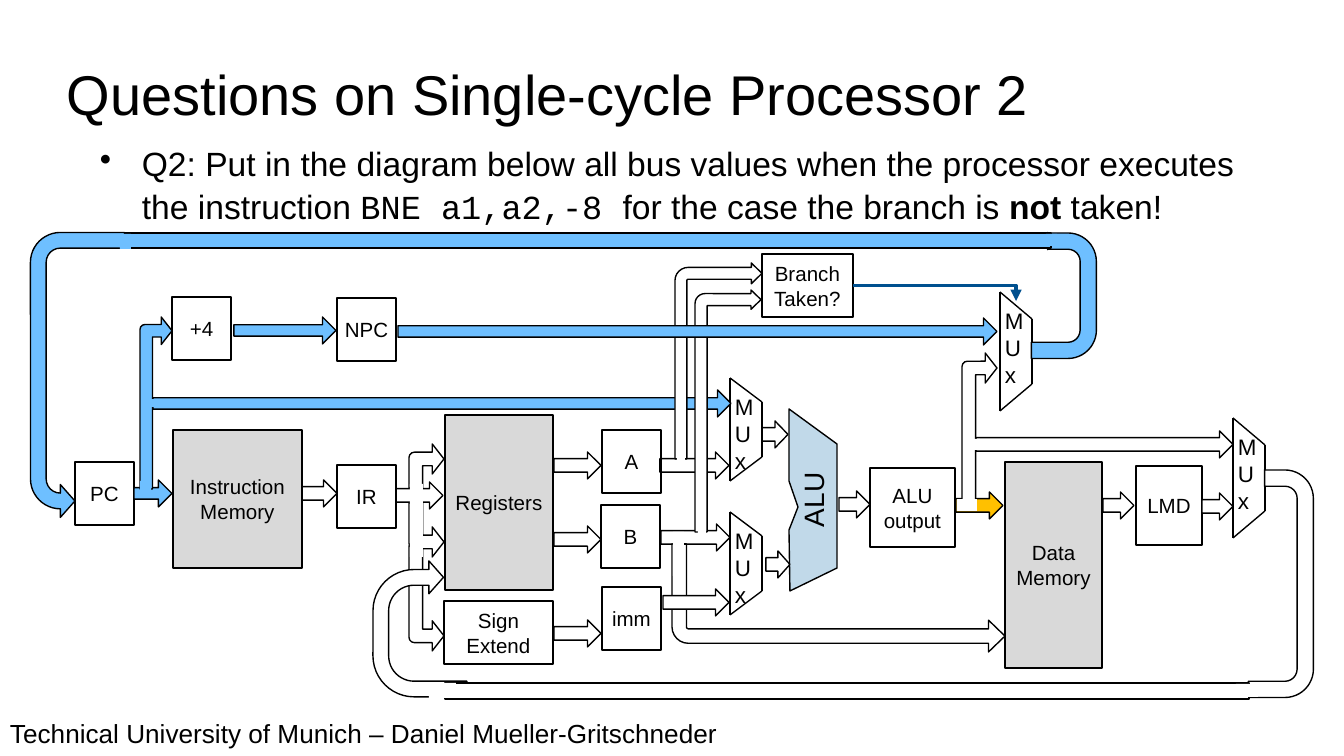
"""Build a slide with the datapath of a single-cycle processor."""
from lxml import etree
from pptx import Presentation
from pptx.dml.color import RGBColor
from pptx.enum.shapes import MSO_CONNECTOR, MSO_SHAPE
from pptx.enum.text import MSO_ANCHOR, PP_ALIGN
from pptx.oxml.ns import qn
from pptx.util import Pt

PX = 914400 / 134.4
RECT, RIGHT = MSO_SHAPE.RECTANGLE, MSO_SHAPE.RIGHT_ARROW
BENT, UTURN = MSO_SHAPE.BENT_ARROW, MSO_SHAPE.U_TURN_ARROW
STRAIGHT, ELBOW = MSO_CONNECTOR.STRAIGHT, MSO_CONNECTOR.ELBOW
TOP, MIDDLE, CENTER = MSO_ANCHOR.TOP, MSO_ANCHOR.MIDDLE, PP_ALIGN.CENTER
COLORS = {"black": "000000", "white": "FFFFFF", "blue": "6EBFFF", "gray": "D9D9D9",
          "alu": "C1D9E9", "orange": "FFC000", "wire": "00508F"}

TITLE = "Questions on Single-cycle Processor 2"
FOOTER = "Technical University of Munich – Daniel Mueller-Gritschneder"
QUESTION = [
    ("Q2: Put in the diagram below all bus values when the processor executes "
     "the instruction ", "Arial", False),
    ("BNE a1,a2,-8 ", "Courier New", False),
    ("for the case the branch is ", "Arial", False),
    ("not", "Arial", True),
    (" taken!", "Arial", False),
]

BOXES = [
    (["PC"], 75, 462, 59, 63, None),
    (["Instruction Memory"], 173, 430, 129, 138, "gray"),
    (["IR"], 337, 465, 59, 63, None),
    (["+4"], 172, 297, 59, 63, None),
    (["NPC"], 337, 298, 59, 63, None),
    (["Registers"], 445, 415, 108, 175, "gray"),
    (["A"], 602, 430, 59, 63, None),
    (["B"], 601, 505, 59, 63, None),
    (["Sign Extend"], 444, 601, 109, 63, None),
    (["imm"], 602, 587, 59, 63, None),
    (["ALU output"], 870, 468, 85, 79, None),
    (["Data Memory"], 1005, 462, 97, 206, "gray"),
    (["LMD"], 1136, 466, 66, 79, None),
    (["Branch", "Taken?"], 762, 254, 91, 63, None),
]
ALU_CENTER = (813, 500)
ALU_OUTLINE = [(837, 568), (837, 444), (789, 409), (789, 481), (798, 507), (789, 530), (790, 591)]
MUX_WIDTH = 32
MUXES = [(730, 378, 103, 24), (730, 512, 103, 24), (1233, 418, 120, 27), (1000, 292, 119, 27)]

STYLES = {
    "arrow": (RIGHT, (0.5, 0.5), 0, ""),
    "slim": (RIGHT, (0.423, 0.5), 0, ""),
    "bar": (RIGHT, (1, 0), 0, ""),
    "up": (BENT, (0.389, 0.43, 0.336, 0.152), 0, ""),
    "down": (BENT, (0.389, 0.43, 0.336, 0.152), 0, "V"),
    "store": (BENT, (0.134, 0.147, 0.152, 0.152), 0, "V"),
    "branch b": (BENT, (0.183, 0.147, 0.152, 0.152), 0, ""),
    "branch a": (BENT, (0.137, 0.12, 0.122, 0.152), 0, ""),
    "write back": (UTURN, (0.167, 0.175, 0.155, 0.438, 0.75), 90, "HV"),
    "turn": (UTURN, (0.25, 0.132, 0, 0.438, 0.75), 90, "H"),
    "next pc": (UTURN, (0.167, 0.175, 0.155, 0.438, 0.473), 270, "H"),
    "joint": (RECT, (), 0, ""),
}
BUSES = [
    ("store", 672, 544, 333, 108, "white"),
    ("down", 409, 546, 35, 105, "white"),
    ("down", 409, 503, 35, 54, "white"),
    ("slim", 134, 480, 38, 27, "blue"),
    ("arrow", 302, 480, 35, 27, None),
    ("up", 140, 317, 32, 172, "blue"),
    ("joint", 140, 481, 11, 11, "blue"),
    ("slim", 234, 317, 102, 27, "blue"),
    ("arrow", 396, 482, 47, 27, None),
    ("up", 409, 444, 35, 44, "white"),
    ("joint", 410, 484, 13, 73, "white"),
    ("arrow", 554, 452, 47, 27, None),
    ("arrow", 554, 526, 47, 27, None),
    ("arrow", 554, 620, 47, 27, None),
    ("arrow", 660, 452, 69, 27, None),
    ("slim", 153, 390, 578, 27, "blue"),
    ("arrow", 661, 524, 69, 27, None),
    ("arrow", 663, 589, 66, 27, "white"),
    ("arrow", 762, 421, 26, 27, None),
    ("arrow", 766, 551, 24, 27, None),
    ("arrow", 839, 491, 31, 27, None),
    ("arrow", 956, 492, 47, 27, "orange"),
    ("joint", 673, 532, 11, 44, "white"),
    ("arrow", 1103, 492, 31, 27, None),
    ("arrow", 1202, 493, 31, 27, "white"),
    ("up", 962, 353, 35, 148, "white"),
    ("joint", 149, 399, 8, 8, "blue"),
    ("arrow", 976, 431, 257, 27, None),
    ("joint", 973, 439, 7, 11, "white"),
    ("joint", 957, 499, 20, 12, "white"),
    ("write back", 352, 582, 136, 94, "white"),
    ("turn", 1001, 263, 126, 65, "blue"),
    ("bar", 94, 233, 957, 15, "blue"),
    ("turn", 1167, 551, 228, 65, "white"),
    ("bar", 445, 683, 804, 16, "white"),
    ("next pc", -65, 328, 285, 94, "blue"),
    ("joint", 120, 234, 11, 15, "blue"),
    ("joint", 1236, 684, 22, 13, "white"),
    ("joint", 429, 683, 27, 15, "white"),
    ("joint", 1046, 234, 11, 12, "blue"),
    ("branch b", 695, 290, 66, 242, "white"),
    ("branch a", 675, 263, 87, 196, "white"),
    ("joint", 698, 489, 8, 44, "white"),
    ("joint", 677, 426, 8, 44, "white"),
    ("slim", 398, 318, 599, 27, "blue"),
]


def emu(*lengths):
    return [round(length * PX) for length in lengths]


def color(name):
    return RGBColor.from_string(COLORS[name])


def paint(shape, fill, outlined=True):
    shape.shadow.inherit = False
    if fill:
        shape.fill.solid()
        shape.fill.fore_color.rgb = color(fill)
    else:
        shape.fill.background()
    if outlined:
        shape.line.color.rgb = color("black")
        shape.line.width = Pt(0.75)
    else:
        shape.line.fill.background()


def write(shape, lines, size, align=None, anchor=MIDDLE, inset=(0, 0)):
    frame = shape.text_frame
    frame.word_wrap = True
    frame.vertical_anchor = anchor
    frame.margin_left = frame.margin_right = emu(inset[0])[0]
    frame.margin_top = frame.margin_bottom = emu(inset[1])[0]
    frame.text = "\n".join(lines)
    for para in frame.paragraphs:
        para.alignment = align
        para.font.size = Pt(size)
        para.font.name = "Arial"
        para.font.color.rgb = color("black")


def add_line(page, kind, start, end, ink="black", width=0.75):
    line = page.shapes.add_connector(kind, *emu(*start, *end))
    line.line.color.rgb = color(ink)
    line.line.width = Pt(width)
    etree.SubElement(line._element.spPr, qn("a:effectLst"))
    return line


def add_question(page):
    box = page.shapes.add_textbox(*emu(67, 141, 1210, 438))
    write(box, [""], 18, anchor=TOP)
    para = box.text_frame.paragraphs[0]
    para.line_spacing = 1.06
    for text, font, bold in QUESTION:
        span = para.add_run()
        span.text = text
        span.font.name = font
        span.font.bold = bold
    props = para._p.get_or_add_pPr()
    margin, indent = emu(75, -42)
    props.set("marL", str(margin))
    props.set("indent", str(indent))
    bullet = etree.Element(qn("a:buChar"), char="•")
    props.find(qn("a:defRPr")).addprevious(bullet)


def add_alu(page):
    cx, cy = ALU_CENTER
    turned = [(cx + cy - y, cy + x - cx) for x, y in ALU_OUTLINE]
    builder = page.shapes.build_freeform(*turned[0], scale=PX)
    builder.add_line_segments(turned[1:], close=True)
    alu = builder.convert_to_shape()
    alu.rotation = 270
    paint(alu, "alu")
    write(alu, ["ALU"], 15, CENTER, inset=(11, 5))


def add_mux(page, x, y, height, slant):
    right, bottom = x + MUX_WIDTH, y + height
    corners = [(x, y), (right, y + slant), (right, bottom - slant), (x, bottom)]
    label = page.shapes.add_textbox(*emu(x - 8, y + 8, 47, 94))
    write(label, ["M", "U", "x"], 12, anchor=TOP, inset=(13, 7))
    for start, end in zip(corners, corners[1:] + corners[:1]):
        add_line(page, STRAIGHT, start, end)


def add_bus(page, style, x, y, width, height, fill):
    preset, adjustments, angle, flips = STYLES[style]
    bus = page.shapes.add_shape(preset, *emu(x, y, width, height))
    for index, value in enumerate(adjustments):
        bus.adjustments[index] = value
    bus.rotation = angle
    for axis in flips:
        bus._element.spPr.xfrm.set("flip" + axis, "1")
    paint(bus, fill, style != "joint")


def main():
    deck = Presentation()
    deck.slide_width, deck.slide_height = emu(1344, 756)
    page = deck.slides.add_slide(deck.slide_layouts[6])
    write(page.shapes.add_textbox(*emu(-3, 704, 761, 51)), [FOOTER], 14, anchor=TOP, inset=(13, 13))
    write(page.shapes.add_textbox(*emu(67, 30, 1210, 126)), [TITLE], 30)
    add_question(page)
    for lines, x, y, width, height, fill in BOXES:
        box = page.shapes.add_shape(RECT, *emu(x, y, width, height))
        paint(box, fill)
        write(box, lines, 11, CENTER, inset=(5, 5))
    add_alu(page)
    for mux in MUXES:
        add_mux(page, *mux)
    for bus in BUSES:
        add_bus(page, *bus)
    wire = add_line(page, ELBOW, (853, 286), (1016, 301), "wire", 0)
    wire._element.spPr.prstGeom.set("prst", "bentConnector2")
    wire.begin_connect(box, 3)
    etree.SubElement(wire.line._get_or_add_ln(), qn("a:tailEnd"), type="triangle")
    deck.save("out.pptx")


if __name__ == "__main__":
    main()
